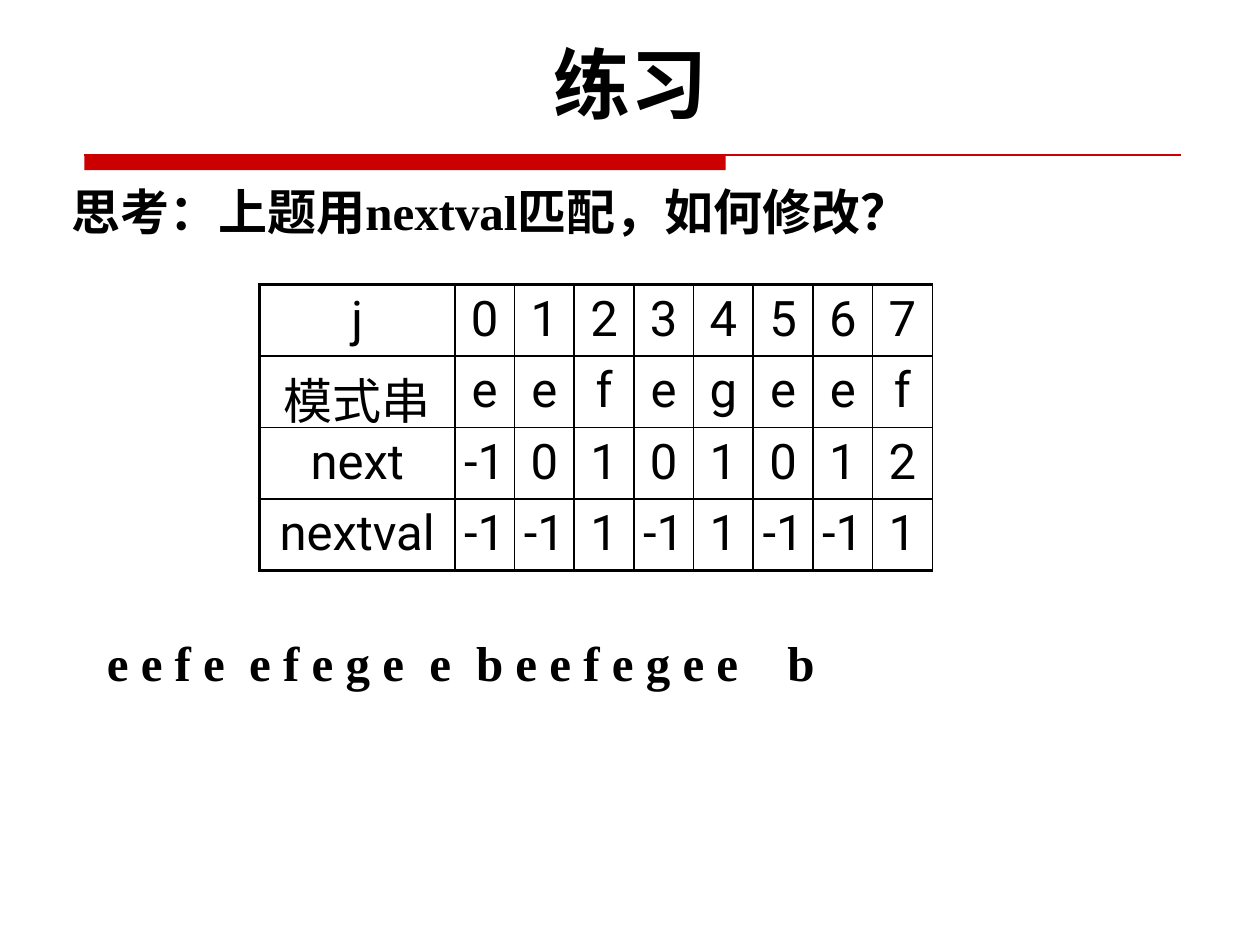
from dataclasses import dataclass

from lxml import etree
from pptx import Presentation
from pptx.dml.color import RGBColor
from pptx.enum.shapes import MSO_CONNECTOR, MSO_SHAPE
from pptx.enum.text import MSO_ANCHOR, PP_ALIGN
from pptx.oxml.ns import qn
from pptx.util import Inches, Pt

RECTANGLE = MSO_SHAPE.RECTANGLE
STRAIGHT = MSO_CONNECTOR.STRAIGHT
TOP, BOTTOM = MSO_ANCHOR.TOP, MSO_ANCHOR.BOTTOM
LEFT, CENTER = PP_ALIGN.LEFT, PP_ALIGN.CENTER


@dataclass(frozen=True)
class Theme:
    ink: str = "000000"
    accent: str = "CC0000"
    sans: str = "Roboto"
    serif: str = "Times New Roman"
    title_size: int = 44
    body_size: int = 28
    rule_width: float = 0.75
    inner_border: float = 1
    outer_border: float = 2.25


THEME = Theme()

MATCH_ROWS = [
    ("j", "0 1 2 3 4 5 6 7"),
    ("模式串", "e e f e g e e f"),
    ("next", "-1 0 1 0 1 0 1 2"),
    ("nextval", "-1 -1 1 -1 1 -1 -1 1"),
]
MAIN_STRING = ["e e f e", "e f e g e", "e", "b e e f e g e e", "b"]
GROUP_STOPS = [1.13, 2.56, 2.93, 5.4]


def write_text(frame, text, font=THEME.serif, size=THEME.body_size,
               bold=True, align=LEFT, tab_stops=()):
    para = frame.paragraphs[0]
    para.alignment = align
    if tab_stops:
        tabs = etree.SubElement(para._p.get_or_add_pPr(), qn("a:tabLst"))
        for stop in tab_stops:
            etree.SubElement(tabs, qn("a:tab"), pos=str(Inches(stop)), algn="l")
    span = para.add_run()
    span.text = text
    span.font.name = font
    span.font.size = Pt(size)
    span.font.bold = bold
    span.font.color.rgb = RGBColor.from_string(THEME.ink)


def add_text(page, text, left, top, width, height, anchor=TOP,
             margin_left=0.1, **text_format):
    box = page.shapes.add_textbox(
        Inches(left), Inches(top), Inches(width), Inches(height))
    frame = box.text_frame
    frame.word_wrap = True
    frame.vertical_anchor = anchor
    frame.margin_left = Inches(margin_left)
    write_text(frame, text, **text_format)


def add_title_rule(page, left, top, bar_width, bar_height, line_width):
    accent = RGBColor.from_string(THEME.accent)
    bar = page.shapes.add_shape(
        RECTANGLE, Inches(left), Inches(top), Inches(bar_width), Inches(bar_height))
    bar.shadow.inherit = False
    bar.fill.solid()
    bar.fill.fore_color.rgb = accent
    bar.line.fill.background()
    line = page.shapes.add_connector(
        STRAIGHT, Inches(left), Inches(top), Inches(left + line_width), Inches(top))
    line.line.color.rgb = accent
    line.line.width = Pt(THEME.rule_width)
    etree.SubElement(line._element.spPr, qn("a:effectLst"))


def add_cell_borders(cell, widths):
    properties = cell._tc.get_or_add_tcPr()
    for side in "LRTB":
        border = etree.SubElement(
            properties, qn(f"a:ln{side}"), w=str(Pt(widths[side])))
        fill = etree.SubElement(border, qn("a:solidFill"))
        etree.SubElement(fill, qn("a:srgbClr"), val=THEME.ink)


def add_match_table(page, left, top, width, height, label_width):
    rows = [[label, *values.split()] for label, values in MATCH_ROWS]
    column_count = len(rows[0])
    table = page.shapes.add_table(
        len(rows), column_count,
        Inches(left), Inches(top), Inches(width), Inches(height)).table
    table.first_row = False
    table.horz_banding = False
    value_width = (width - label_width) / (column_count - 1)
    for index, column in enumerate(table.columns):
        column.width = Inches(value_width if index else label_width)

    inner, outer = THEME.inner_border, THEME.outer_border
    for row_index, row in enumerate(rows):
        for column_index, text in enumerate(row):
            cell = table.cell(row_index, column_index)
            cell.margin_left = cell.margin_right = 0
            add_cell_borders(cell, {
                "L": inner if column_index else outer,
                "R": inner,
                "T": inner if row_index else outer,
                "B": outer if row_index == len(rows) - 1 else inner,
            })
            cell.fill.background()
            write_text(cell.text_frame, text, font=THEME.sans,
                       bold=False, align=CENTER)


def main():
    deck = Presentation()
    deck.slide_width, deck.slide_height = Inches(10), Inches(7.5)
    page = deck.slides.add_slide(deck.slide_layouts[6])

    add_title_rule(page, 0.67, 1.23, bar_width=5.09, bar_height=0.12, line_width=8.7)
    add_text(page, "练习", 0.63, 0.33, 8.75, 0.74, anchor=BOTTOM,
             font=THEME.sans, size=THEME.title_size, align=CENTER)
    add_text(page, "思考：上题用nextval匹配，如何修改？", 0.35, 1.39, 8.74, 0.57,
             margin_left=0.22)
    add_match_table(page, 2.06, 2.26, 5.34, 2.27, label_width=1.55)
    add_text(page, "\t".join(MAIN_STRING), 0.75, 4.97, 8.86, 0.57,
             tab_stops=GROUP_STOPS)

    deck.save("out.pptx")


if __name__ == "__main__":
    main()
